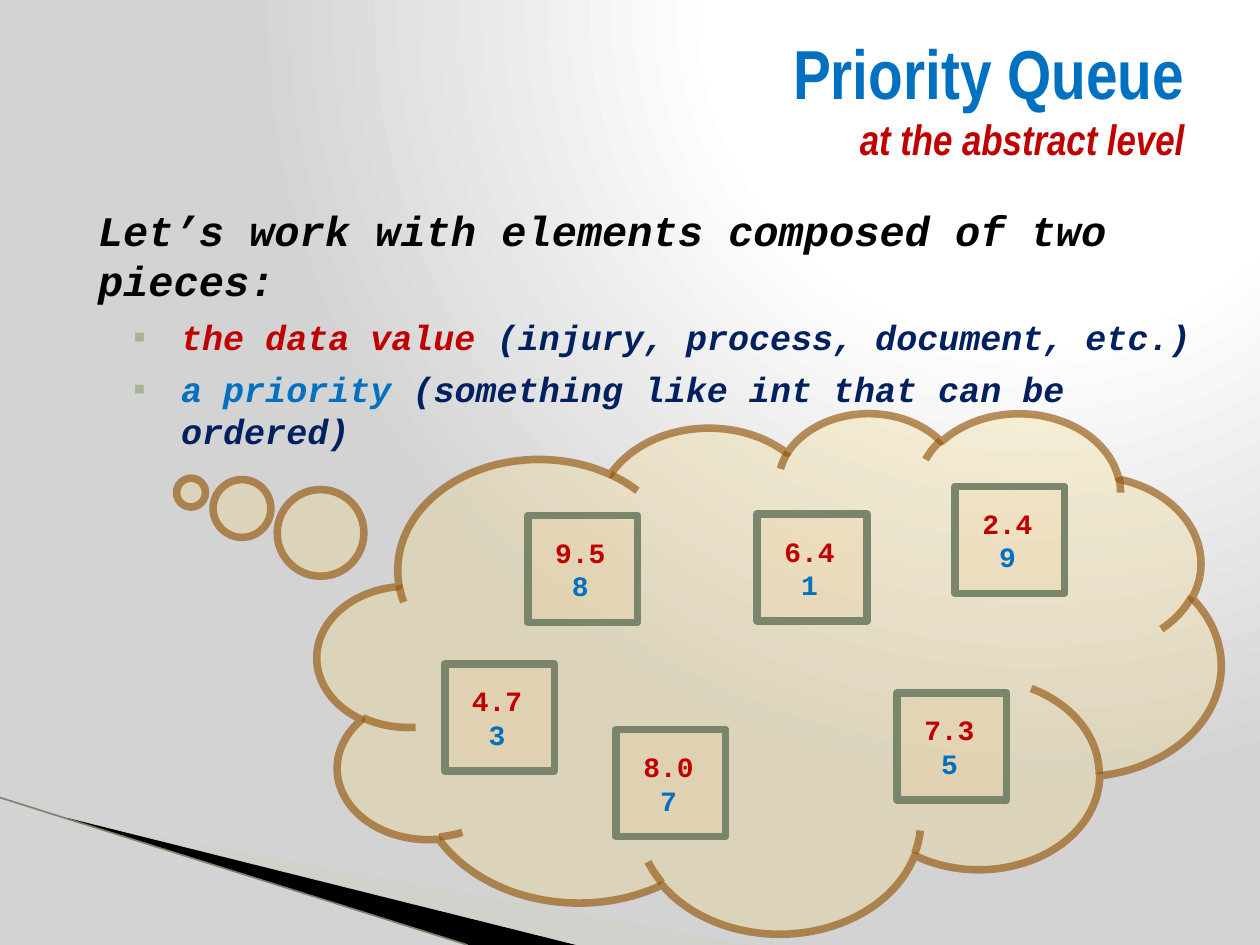
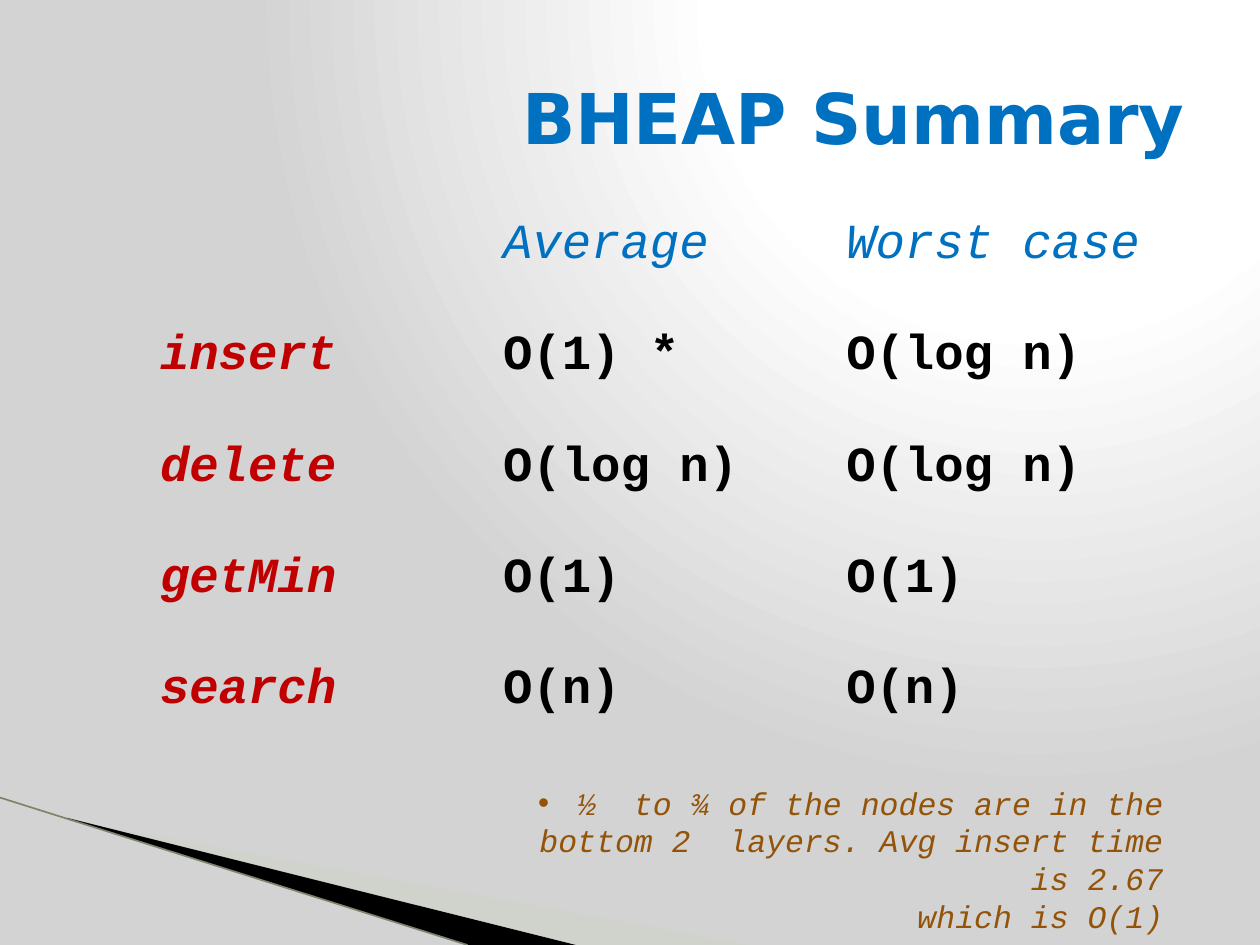
from pptx import Presentation
from pptx.dml.color import RGBColor
from pptx.enum.shapes import MSO_CONNECTOR as Connector, MSO_SHAPE as Shape
from pptx.enum.text import MSO_ANCHOR as Anchor, MSO_AUTO_SIZE as AutoSize, PP_ALIGN as Align
from pptx.oxml import parse_xml
from pptx.oxml.ns import nsdecls, qn
from pptx.util import Inches, Pt
from lxml.etree import SubElement

# Shared style
COLUMNS, ROWS, CELL = 100, 75, 0.1  # grid units, each 0.1 inch
BLUE, RED, NAVY, BLACK, BROWN = "0070C0", "C00000", "002060", "000000", "93540A"
SAGE, MOSS, BULLET = "CBD4C0", "7A866C", "A5B592"
MONO, NARROW, SANS = "Courier New", "Arial Narrow", "DejaVu Sans"
OUTLINE = 4.33
NO_GRID = "{2D5ABB26-0587-4C30-8999-92F81FD0307C}"
BACKDROP = f"""<p:bg {nsdecls("p", "a")}><p:bgPr><a:gradFill rotWithShape="1"><a:gsLst>
<a:gs pos="0"><a:srgbClr val="FFFFFF"/></a:gs><a:gs pos="40000"><a:srgbClr val="FFFFFF"/></a:gs>
<a:gs pos="100000"><a:srgbClr val="D3D3D3"/></a:gs></a:gsLst>
<a:path path="circle"><a:fillToRect l="65000" t="0" r="0" b="98000"/></a:path>
</a:gradFill><a:effectLst/></p:bgPr></p:bg>"""


def grid(*units):
    return [Inches(unit * CELL) for unit in units]


def paint(fill, colour, opacity=100):
    fill.solid()
    fill.fore_color.rgb = RGBColor.from_string(colour)
    if opacity < 100:
        tint = fill._xPr.find(qn("a:solidFill"))[0]
        SubElement(tint, qn("a:alpha"), val=str(opacity * 1000))


def style(font, name=None, size=None, colour=None, bold=None, italic=None):
    if name:
        font.name = name
    if size:
        font.size = Pt(size)
    if colour:
        paint(font.fill, colour)
    font.bold, font.italic = bold, italic


class Deck:
    """Holds the presentation, its style and the slide being filled."""

    def __init__(self):
        self.file = Presentation()
        self.file.slide_width, self.file.slide_height = grid(COLUMNS, ROWS)
        self.slide = None

    def new_slide(self):
        self.slide = self.file.slides.add_slide(self.file.slide_layouts[6])
        self.slide.element.cSld.insert(0, parse_xml(BACKDROP))
        # Corner band
        self.wedge([(5.5, 65.1), (59.5, ROWS), (45.6, ROWS), (5.5, 65)], SAGE, 40)
        self.wedge([(5.3, 64.9), (45.7, ROWS), (37.2, ROWS), (5.4, 65)], BLACK)
        self.line((0, 63.3), (37.1, ROWS), MOSS, 0.95)

    def wedge(self, corners, colour, opacity=100):
        start, *rest = [grid(*corner) for corner in corners]
        builder = self.slide.shapes.build_freeform(*start)
        builder.add_line_segments(rest)
        outline = builder.convert_to_shape()
        outline.shadow.inherit = False
        paint(outline.fill, colour, opacity)
        outline.line.fill.background()

    def line(self, start, end, colour, width):
        edge = self.slide.shapes.add_connector(Connector.STRAIGHT, *grid(*start, *end))
        paint(edge.line.fill, colour)
        edge.line.width = Pt(width)
        SubElement(edge._element.spPr, qn("a:effectLst"))

    def shape(self, kind, box, fill, opacity, outline, outline_opacity=100, adjust=()):
        figure = self.slide.shapes.add_shape(kind, *grid(*box))
        figure.shadow.inherit = False
        for index, value in enumerate(adjust):
            figure.adjustments[index] = value
        paint(figure.fill, fill, opacity)
        paint(figure.line.fill, outline, outline_opacity)
        figure.line.width = Pt(OUTLINE)

    def text(self, box, anchor=Anchor.TOP, grow=False):
        frame = self.slide.shapes.add_textbox(*grid(*box)).text_frame
        frame.word_wrap, frame.vertical_anchor = True, anchor
        if grow:
            frame.auto_size = AutoSize.SHAPE_TO_FIT_TEXT
        return frame

    def paragraph(self, frame, runs, align=Align.LEFT, before=0, indent=(0, 0),
                  bullet=None, bullet_colour=None, **look):
        """Fill the first empty paragraph or add one; runs are (text, own style) pairs."""
        first = frame.paragraphs[0]
        para = frame.add_paragraph() if first.runs else first
        para.alignment, para.space_before = align, Pt(before)
        props = para._p.get_or_add_pPr()
        left, hang = grid(*indent)
        props.set("marL", str(left))
        props.set("indent", str(hang))
        if bullet_colour:
            SubElement(SubElement(props, qn("a:buClr")), qn("a:srgbClr"), val=bullet_colour)
        if bullet:
            SubElement(props, qn("a:buFont"), typeface="Arial")
            SubElement(props, qn("a:buChar"), char=bullet)
        style(para.font, **look)
        for index, (words, own) in enumerate(runs):
            if index and own.pop("new_line", False):
                para.add_line_break()
            run = para.add_run()
            run.text = words
            if own:
                style(run.font, **own)

    def title(self, runs, height, **look):
        frame = self.text((5, 3, 90, height), Anchor.MIDDLE)
        self.paragraph(frame, runs, Align.RIGHT, bold=True, **look)

    def table(self, box, first_height, rows, look_of):
        """Table under one merged, empty top row; look_of(row, column) styles a cell."""
        count = len(rows[0])
        table = self.slide.shapes.add_table(len(rows) + 1, count, *grid(*box)).table
        table._tbl.tblPr.find(qn("a:tableStyleId")).text = NO_GRID
        table.first_row = table.horz_banding = False
        table.rows[0].height, = grid(first_height)
        for row in list(table.rows)[1:]:
            row.height, = grid((box[3] - first_height) / len(rows))
        for cell in table.iter_cells():
            cell.fill.background()
            cell.vertical_anchor = Anchor.MIDDLE
        table.cell(0, 0).merge(table.cell(0, count - 1))
        for r, row in enumerate(rows):
            for c, words in enumerate(row):
                if words:
                    frame = table.cell(r + 1, c).text_frame
                    self.paragraph(frame, [(words, {})], name=MONO, size=28, **look_of(r, c))


def priority_queue(deck):
    deck.new_slide()

    # Explanation
    body = deck.text((5.6, 15.7, 90, 56.1))
    look = dict(name=MONO, bold=True, italic=True)
    deck.paragraph(body, [("Let’s work with elements composed of two pieces:", {})],
                   indent=(1.2, 0), size=24, colour=BLACK, **look)
    pieces = [("the data value ", RED, "(injury, process, document, etc.)"),
              ("a priority ", BLUE, "(something like int that can be ordered)")]
    for piece, colour, examples in pieces:
        deck.paragraph(body, [(piece, dict(colour=colour)), (examples, dict(colour=NAVY))],
                       before=6, indent=(7.8, -3.8), bullet="▪", bullet_colour=BULLET,
                       size=20, **look)

    deck.title([("Priority Queue", dict(size=39.6, colour=BLUE)),
                ("at the abstract level",
                 dict(size=24.3, colour=RED, italic=True, new_line=True))],
               9.4, name=NARROW)

    # Cloud of elements, each a value above its priority
    deck.shape(Shape.CLOUD_CALLOUT, (25.2, 32.7, 71.7, 41.3), "F1D77F", 28, BROWN, 63,
               adjust=(-0.64, -0.345))
    elements = [(35.3, 52.7, "4.7", "3"), (48.9, 57.9, "8.0", "7"), (75.8, 38.6, "2.4", "9"),
                (41.9, 40.9, "9.5", "8"), (60.1, 40.8, "6.4", "1"), (71.2, 55, "7.3", "5")]
    for left, top, value, priority in elements:
        deck.shape(Shape.RECTANGLE, (left, top, 8.7, 8.5), "F8C891", 19, MOSS)
        label = deck.text((left + 0.9, top + 1.1, 6.5, 6.4), grow=True)
        for words, colour in ((value, RED), (priority, BLUE)):
            deck.paragraph(label, [(words, {})], Align.CENTER, name=MONO, size=16,
                           colour=colour, bold=True)


def heap_summary(deck):
    deck.new_slide()

    # Cost of each operation
    def look_of(row, column):
        if row == 0:
            return dict(colour=BLUE, italic=True)
        if column == 0:
            return dict(colour=RED, bold=True, italic=True)
        return dict(colour=BLACK, bold=True)

    costs = [("", "Average", "Worst case"),
             ("insert", "O(1) *", "O(log n)"),
             ("delete", "O(log n)", "O(log n)"),
             ("getMin", "O(1)", "O(1)"),
             ("search", "O(n)", "O(n)")]
    deck.table((11.7, 10, 81.7, 49.2), 5.1, costs, look_of)

    deck.title([("BHEAP Summary", {})], 12.5, name=SANS, size=40, colour=BLUE)

    # Note on the average insert
    note = deck.text((35.8, 61.7, 57.5, 10.1), grow=True)
    look = dict(align=Align.RIGHT, name=MONO, size=18, colour=BROWN, italic=True)
    reason = "½  to ¾ of the nodes are in the bottom 2  layers. Avg insert time is 2.67"
    deck.paragraph(note, [(reason, {})], indent=(3.1, -3.1), bullet="•", **look)
    deck.paragraph(note, [("which is O(1)", {})], **look)


def main():
    deck = Deck()
    priority_queue(deck)
    heap_summary(deck)
    deck.file.save("out.pptx")


if __name__ == "__main__":
    main()
